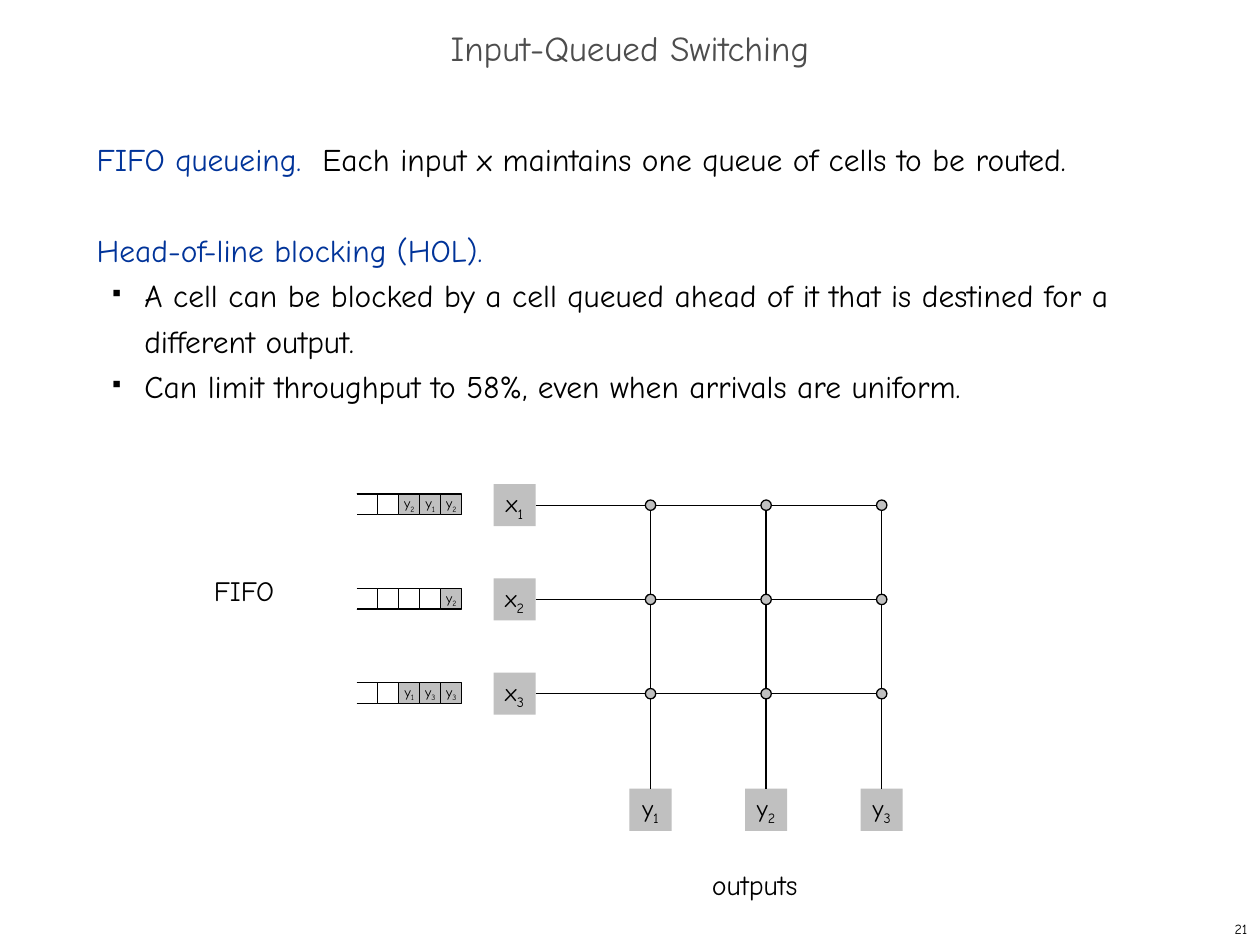
import lxml.etree
import pptx
import pptx.dml.color
import pptx.enum.shapes
import pptx.enum.text
import pptx.oxml.ns
import pptx.util

Cm = pptx.util.Cm
Pt = pptx.util.Pt
SHAPE = pptx.enum.shapes.MSO_SHAPE
ALIGN = pptx.enum.text.PP_ALIGN
ANCHOR = pptx.enum.text.MSO_ANCHOR
qn = pptx.oxml.ns.qn

FONT = "Comic Neue"
COLORS = {
    "title": "4D4D4D",
    "heading": "003399",
    "ink": "000000",
    "cell": "C0C0C0",
    "paper": "FFFFFF",
}
QUEUES = ["212", "2", "133"]
QUEUE_SLOTS = 6
PORTS = 3
ROW_PITCH = 1.9
COLUMN_PITCH = 2.33
PORT_SIZE = 0.85
DOT_SIZE = 0.21


def rgb(name):
    return pptx.dml.color.RGBColor.from_string(COLORS[name])


def format_run(run, size, color="ink"):
    run.font.name = FONT
    run.font.size = Pt(size)
    run.font.color.rgb = rgb(color)


def add_text(slide, box, text, size, align=ALIGN.LEFT, anchor=ANCHOR.TOP, wrap=False):
    shape = slide.shapes.add_textbox(*map(Cm, box))
    frame = shape.text_frame
    frame.word_wrap = wrap
    frame.vertical_anchor = anchor
    frame.text = text
    paragraph = frame.paragraphs[0]
    paragraph.alignment = align
    format_run(paragraph.runs[0], size)


def add_node(slide, kind, box, fill, line=None):
    shape = slide.shapes.add_shape(kind, *map(Cm, box))
    shape.shadow.inherit = False
    shape.fill.solid()
    shape.fill.fore_color.rgb = rgb(fill)
    if line:
        shape.line.color.rgb = rgb(line)
        shape.line.width = Pt(0.75)
    else:
        shape.line.fill.background()
    return shape


def add_label(shape, letter, index, size):
    frame = shape.text_frame
    frame.word_wrap = False
    frame.vertical_anchor = ANCHOR.MIDDLE
    paragraph = frame.paragraphs[0]
    paragraph.alignment = ALIGN.CENTER
    for text in (letter, str(index)):
        run = paragraph.add_run()
        run.text = text
        format_run(run, size)
    run.font._element.set("baseline", "-25000")


def add_line(slide, x1, y1, x2, y2):
    line = slide.shapes.add_connector(
        pptx.enum.shapes.MSO_CONNECTOR.STRAIGHT, *map(Cm, (x1, y1, x2, y2))
    )
    line.line.color.rgb = rgb("ink")
    line.line.width = Pt(0.75)
    lxml.etree.SubElement(line._element.spPr, qn("a:effectLst"))
    return line


def set_bullet(paragraph):
    properties = paragraph._p.get_or_add_pPr()
    properties.set("marL", str(Cm(0.96)))
    properties.set("indent", str(Cm(-0.64)))
    color = lxml.etree.SubElement(properties, qn("a:buClr"))
    lxml.etree.SubElement(color, qn("a:srgbClr")).set("val", COLORS["ink"])
    lxml.etree.SubElement(properties, qn("a:buSzPct")).set("val", "35000")
    lxml.etree.SubElement(properties, qn("a:buChar")).set("char", "■")


def place_title(slide, box):
    title = slide.shapes.title
    title.left, title.top, title.width, title.height = map(Cm, box)
    frame = title.text_frame
    frame.text = "Input-Queued Switching"
    frame.vertical_anchor = ANCHOR.MIDDLE
    frame.auto_size = pptx.enum.text.MSO_AUTO_SIZE.NONE
    paragraph = frame.paragraphs[0]
    paragraph.alignment = ALIGN.CENTER
    paragraph.line_spacing = 0.7
    format_run(paragraph.runs[0], 20, "title")


def place_body(slide, box):
    frame = slide.shapes.add_textbox(*map(Cm, box)).text_frame
    frame.word_wrap = True
    paragraphs = [
        (False, 0, [("FIFO queueing.  ", "heading"),
                    ("Each input x maintains one queue of cells to be routed.", "ink")]),
        (False, 26, [("Head-of-line blocking (HOL).", "heading")]),
        (True, 0, [("A cell can be blocked by a cell queued ahead of it that is "
                    "destined for a different output.", "ink")]),
        (True, 0, [("Can limit throughput to 58%, even when arrivals are uniform.", "ink")]),
    ]
    for number, (bulleted, space, parts) in enumerate(paragraphs):
        paragraph = frame.add_paragraph() if number else frame.paragraphs[0]
        paragraph.line_spacing = Pt(26)
        paragraph.space_before = Pt(space)
        if bulleted:
            set_bullet(paragraph)
        for text, color in parts:
            run = paragraph.add_run()
            run.text = text
            format_run(run, 18, color)


def place_queue(slide, box, outputs):
    left, top, width, height = box
    slot_width = width / QUEUE_SLOTS
    cells = outputs.rjust(QUEUE_SLOTS)
    for slot in reversed(range(QUEUE_SLOTS)):
        output = cells[slot].strip()
        shape = add_node(
            slide, SHAPE.RECTANGLE,
            (left + slot * slot_width, top, slot_width, height),
            "cell" if output else "paper",
            "ink" if slot else "paper",
        )
        if output:
            add_label(shape, "y", output, 8)


def place_crossbar(slide, box):
    left, top, width, height = box
    half = PORT_SIZE / 2
    rows = [top + half + i * ROW_PITCH for i in range(PORTS)]
    columns = [left + width - half - i * COLUMN_PITCH for i in reversed(range(PORTS))]
    output_top = top + height - PORT_SIZE

    for index, y in enumerate(rows, 1):
        port = add_node(slide, SHAPE.RECTANGLE, (left, y - half, PORT_SIZE, PORT_SIZE), "cell")
        add_label(port, "x", index, 14)
        add_line(slide, left + PORT_SIZE, y, columns[-1], y).begin_connect(port, 3)
    for index, x in enumerate(columns, 1):
        port = add_node(
            slide, SHAPE.RECTANGLE, (x - half, output_top, PORT_SIZE, PORT_SIZE), "cell"
        )
        add_label(port, "y", index, 14)
        add_line(slide, x, rows[0], x, output_top).end_connect(port, 0)
    for y in rows:
        for x in columns:
            dot = (x - DOT_SIZE / 2, y - DOT_SIZE / 2, DOT_SIZE, DOT_SIZE)
            add_node(slide, SHAPE.OVAL, dot, "cell", "ink")


def main():
    presentation = pptx.Presentation()
    presentation.slide_width = Cm(25.4)
    presentation.slide_height = Cm(19.05)
    slide = presentation.slides.add_slide(presentation.slide_layouts[5])
    place_title(slide, (0, 0.43, 25.4, 1.27))
    place_body(slide, (1.7, 2.54, 21.8, 6.2))
    add_text(slide, (4.06, 11.43, 1.75, 0.94), "FIFO", 16)
    add_text(slide, (14.1, 17.37, 2.24, 0.94), "outputs", 16)
    for row, outputs in enumerate(QUEUES):
        place_queue(slide, (6.77, 9.96 + row * ROW_PITCH, 2.54, 0.42), outputs)
    place_crossbar(slide, (9.95, 9.76, 8.25, 6.99))
    add_text(slide, (20.12, 18.42, 5.28, 0.63), "21", 8, ALIGN.RIGHT, ANCHOR.MIDDLE, True)
    presentation.save("out.pptx")


if __name__ == "__main__":
    main()
